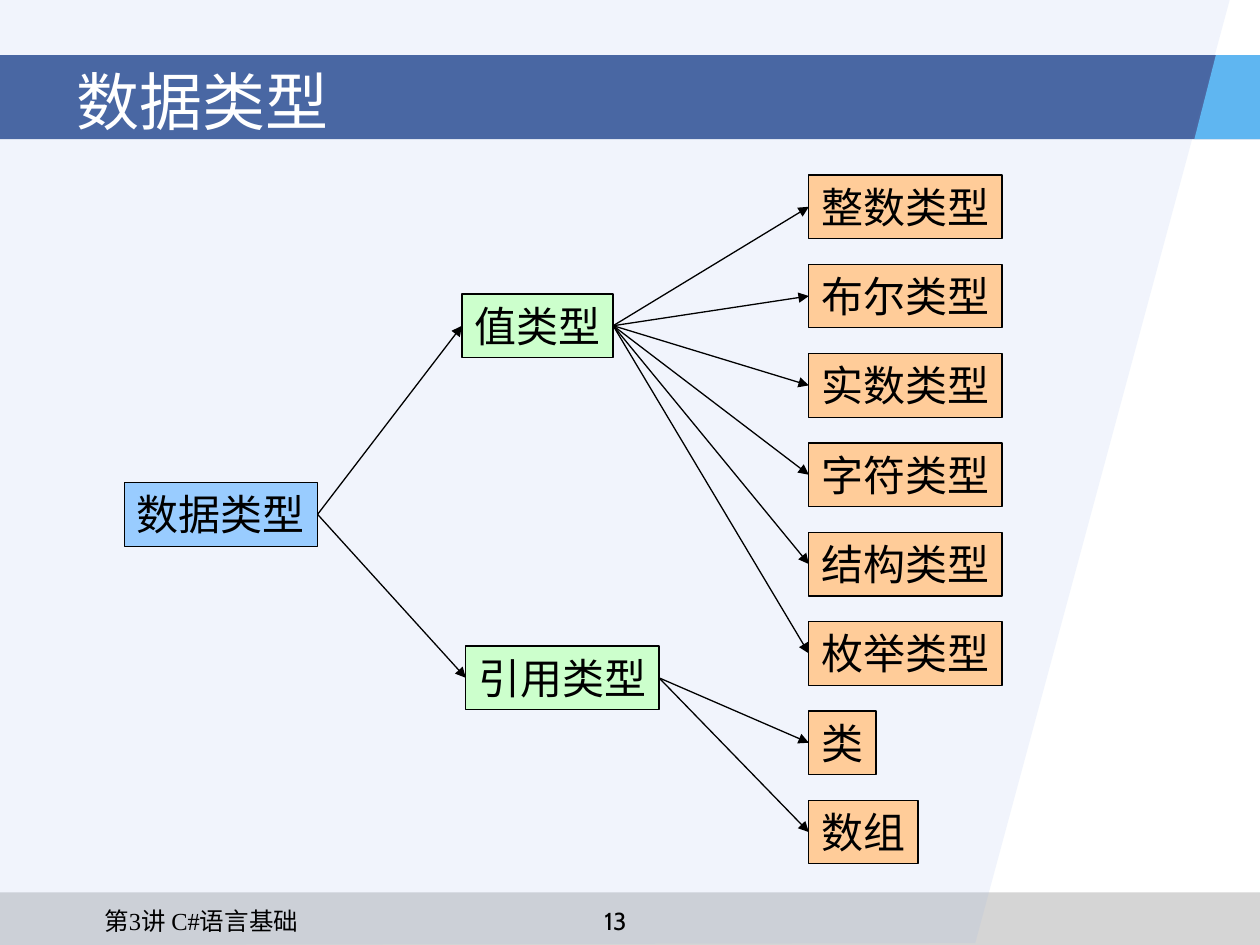
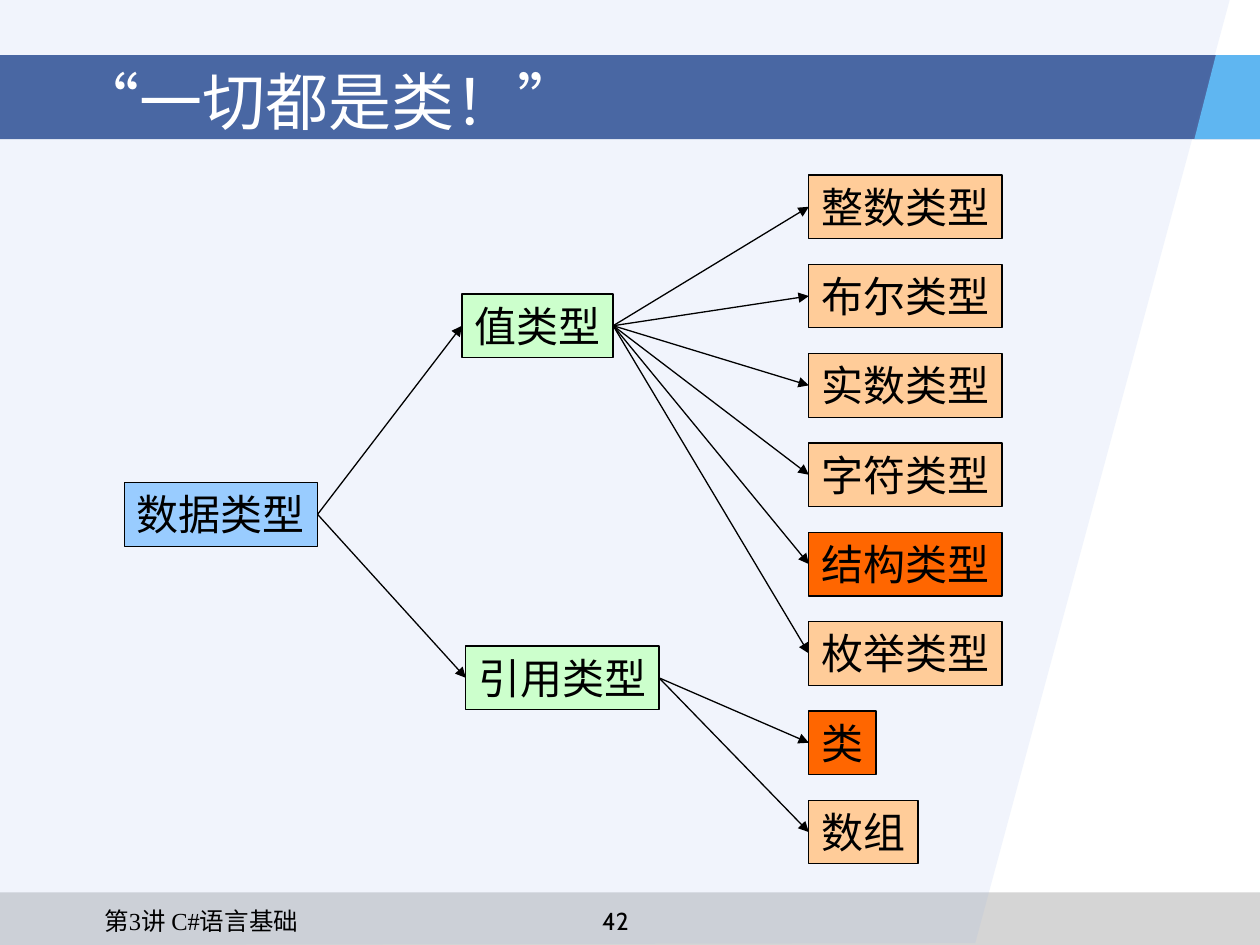
from pptx import Presentation
from pptx.dml.color import RGBColor
from pptx.enum.lang import MSO_LANGUAGE_ID
from pptx.enum.shapes import MSO_CONNECTOR, MSO_SHAPE
from pptx.enum.text import MSO_ANCHOR, MSO_AUTO_SIZE, PP_ALIGN
from pptx.oxml.ns import qn
from pptx.util import Pt
from lxml.etree import SubElement

COLOURS = {
    "footer": "969696", "backdrop": "94B1EC", "band": "173D89", "corner": "5FB6F1",
    "root": "99CCFF", "branch": "CCFFCC", "leaf": "FFCC99", "highlight": "FF6600",
    "ink": "000000", "title": "FFFFFF",
}
TEXT_STYLES = {
    "title": {"name": "Cabin", "size": Pt(36)},
    "box": {"name": "Arial", "size": Pt(24)},
    "lecture": {"name": "Times New Roman", "size": Pt(14)},
    "page": {"name": "Cabin", "size": Pt(14)},
}
PAGE_WIDTH, PAGE_HEIGHT = 720, 540
BAND_TOP, BAND_HEIGHT = 31.5, 48
FOOTER_TOP = 510
BOX_HEIGHT, CHARACTER_WIDTH, BOX_MARGINS = 36.3, 24, 14.4
LEAF_LEFT, LEAF_TOP, LEAF_PITCH = 462.2, 100, 51.05
RIGHT_SITE, LEFT_SITE = 3, 1

LECTURE = "第3讲 C#语言基础"
ROOT = ("数据类型", 71.1, 275.8)
BRANCHES = [
    ("值类型", 264, 168,
     ["整数类型", "布尔类型", "实数类型", "字符类型", "结构类型", "枚举类型"]),
    ("引用类型", 266.2, 369.2, ["类", "数组"]),
]
SLIDES = [
    ("数据类型", "13", set()),
    ("“一切都是类！”", "42", {"结构类型", "类"}),
]


class TypeDeck:
    def __init__(self):
        self.presentation = Presentation()
        self.presentation.slide_width = Pt(PAGE_WIDTH)
        self.presentation.slide_height = Pt(PAGE_HEIGHT)
        self.shapes = None

    def paint(self, shape, colour, opacity=100):
        """Fill a shape flatly, with no outline or shadow."""
        shape.shadow.inherit = False
        shape.fill.solid()
        shape.fill.fore_color.rgb = RGBColor.from_string(COLOURS[colour])
        shape.line.fill.background()
        if opacity < 100:
            fill = shape._element.spPr.find(qn("a:solidFill"))
            SubElement(fill.find(qn("a:srgbClr")), qn("a:alpha")).set(
                "val", str(opacity * 1000))

    def rectangle(self, left, top, width, height, colour, opacity=100):
        shape = self.shapes.add_shape(
            MSO_SHAPE.RECTANGLE, Pt(left), Pt(top), Pt(width), Pt(height))
        self.paint(shape, colour, opacity)
        return shape

    def outline(self, corners, colour, opacity=100):
        first, *others = [(Pt(x), Pt(y)) for x, y in corners]
        builder = self.shapes.build_freeform(*first)
        builder.add_line_segments(others, close=True)
        self.paint(builder.convert_to_shape(), colour, opacity)

    def set_text(self, shape, text, style, colour="ink", align=PP_ALIGN.LEFT,
                 anchor=MSO_ANCHOR.TOP, wrap=True):
        frame = shape.text_frame
        frame.word_wrap = wrap
        frame.vertical_anchor = anchor
        paragraph = frame.paragraphs[0]
        paragraph.alignment = align
        run = paragraph.add_run()
        run.text = text
        run.font.language_id = MSO_LANGUAGE_ID.SIMPLIFIED_CHINESE
        for attribute, value in TEXT_STYLES[style].items():
            setattr(run.font, attribute, value)
        run.font.color.rgb = RGBColor.from_string(COLOURS[colour])
        return paragraph

    def label(self, left, top, width, height, text, style, **layout):
        holder = self.shapes.add_textbox(Pt(left), Pt(top), Pt(width), Pt(height))
        return self.set_text(holder, text, style, **layout)

    def type_box(self, text, left, top, colour):
        """Add an outlined box as wide as its text."""
        width = len(text) * CHARACTER_WIDTH + BOX_MARGINS
        box = self.rectangle(left, top, width, BOX_HEIGHT, colour)
        box.line.color.rgb = RGBColor.from_string(COLOURS["ink"])
        box.line.width = Pt(0.75)
        self.set_text(box, text, "box", wrap=False)
        box.text_frame.auto_size = MSO_AUTO_SIZE.SHAPE_TO_FIT_TEXT
        return box

    def arrow(self, parent, child):
        link = self.shapes.add_connector(MSO_CONNECTOR.STRAIGHT, 0, 0, 0, 0)
        link.begin_connect(parent, RIGHT_SITE)
        link.end_connect(child, LEFT_SITE)
        link.line.color.rgb = RGBColor.from_string(COLOURS["ink"])
        link.line.width = Pt(0.75)
        properties = link._element.spPr
        SubElement(properties.find(qn("a:ln")), qn("a:tailEnd")).set("type", "triangle")
        SubElement(properties, qn("a:effectLst"))

    def start_slide(self, title, page):
        """Add a slide with the shared bands, title and footer."""
        blank = self.presentation.slide_layouts[6]
        self.shapes = self.presentation.slides.add_slide(blank).shapes
        band_bottom = BAND_TOP + BAND_HEIGHT
        self.rectangle(0, FOOTER_TOP, PAGE_WIDTH, PAGE_HEIGHT - FOOTER_TOP, "footer", 40)
        self.outline([(0, 0), (702.7, 0), (557.3, 539), (0, PAGE_HEIGHT)], "backdrop", 13)
        self.rectangle(0, BAND_TOP, PAGE_WIDTH, BAND_HEIGHT, "band", 77)
        self.outline([(694.8, BAND_TOP), (682.5, band_bottom),
                      (PAGE_WIDTH, band_bottom), (PAGE_WIDTH, BAND_TOP)], "corner")
        self.label(36.7, 26, 648, 62.6, title, "title",
                   colour="title", anchor=MSO_ANCHOR.MIDDLE)
        lecture = self.label(35.3, 514, 256.3, 17.3, LECTURE, "lecture")
        lecture._p.get_or_add_pPr().set("marL", str(Pt(17.3)))
        self.label(303.8, 514, 95.8, 18, page, "page", align=PP_ALIGN.CENTER)

    def type_tree(self, highlighted):
        root = self.type_box(*ROOT, "root")
        leaf_top = LEAF_TOP
        for branch_name, left, top, leaf_names in BRANCHES:
            branch = self.type_box(branch_name, left, top, "branch")
            self.arrow(root, branch)
            for leaf_name in leaf_names:
                colour = "highlight" if leaf_name in highlighted else "leaf"
                leaf = self.type_box(leaf_name, LEAF_LEFT, leaf_top, colour)
                self.arrow(branch, leaf)
                leaf_top += LEAF_PITCH


def main():
    deck = TypeDeck()
    for title, page, highlighted in SLIDES:
        deck.start_slide(title, page)
        deck.type_tree(highlighted)
    deck.presentation.save("out.pptx")


if __name__ == "__main__":
    main()
